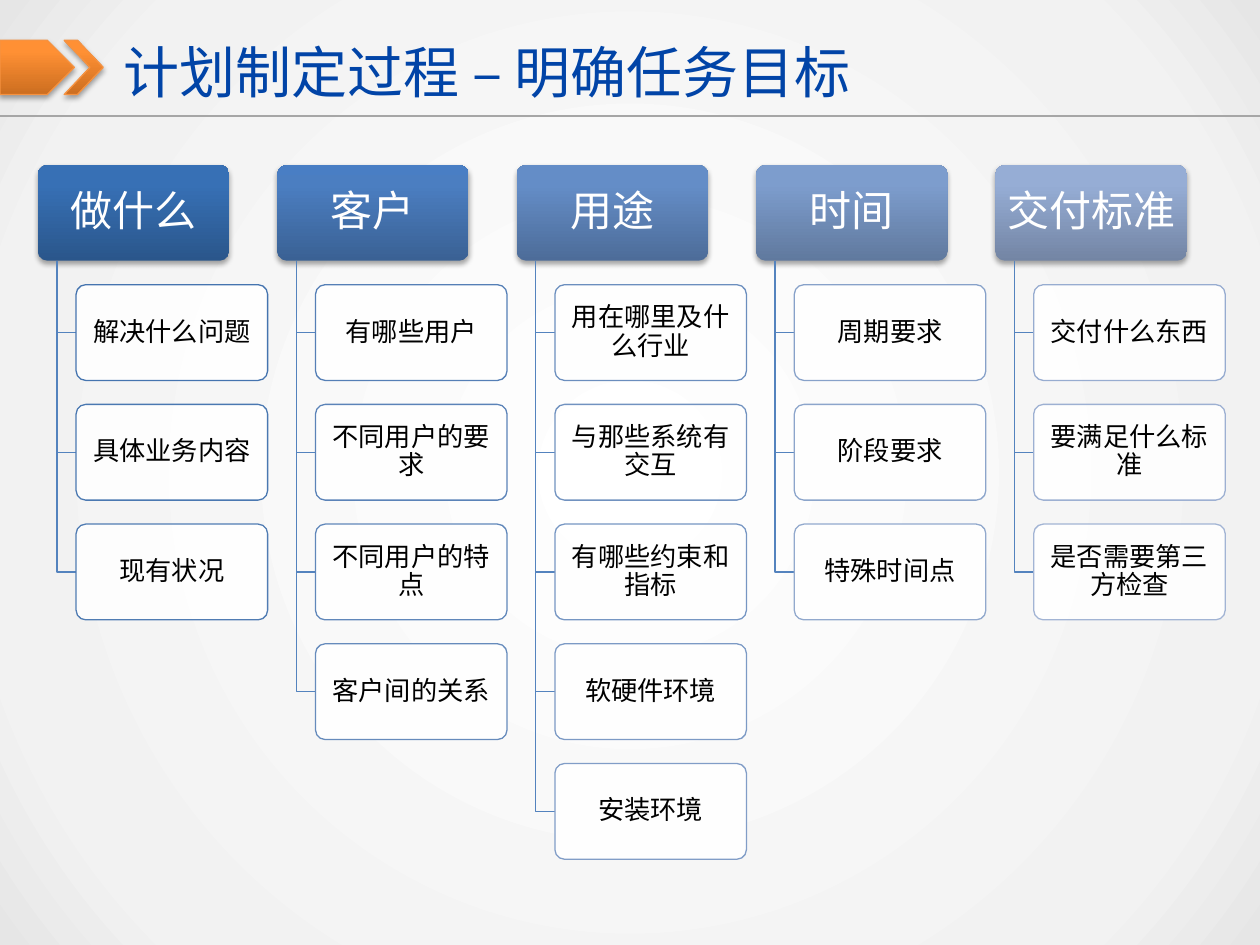
from lxml import etree
from pptx import Presentation
from pptx.dml.color import RGBColor
from pptx.enum.shapes import MSO_CONNECTOR, MSO_SHAPE
from pptx.enum.text import MSO_ANCHOR, MSO_AUTO_SIZE, PP_ALIGN
from pptx.oxml import parse_xml
from pptx.oxml.ns import nsdecls, qn
from pptx.util import Inches, Pt

ROUND = MSO_SHAPE.ROUNDED_RECTANGLE
ARROW = MSO_SHAPE.PENTAGON
CHEVRON = MSO_SHAPE.CHEVRON
STRAIGHT = MSO_CONNECTOR.STRAIGHT
MIDDLE = MSO_ANCHOR.MIDDLE
NO_FIT = MSO_AUTO_SIZE.NONE
LEFT, CENTER = PP_ALIGN.LEFT, PP_ALIGN.CENTER

FONT = "Noto Sans CJK SC"
WHITE = RGBColor(0xFF, 0xFF, 0xFF)
BLACK = RGBColor(0x00, 0x00, 0x00)
NAVY = RGBColor(0x01, 0x44, 0xA7)
ORANGE = RGBColor(0xF6, 0x92, 0x40)
GRAY = RGBColor(0xA6, 0xA6, 0xA6)
STEEL = RGBColor(0x54, 0x83, 0xBE)
FIRST = RGBColor(0x45, 0x74, 0xAF)
LAST = RGBColor(0xA2, 0xB4, 0xD4)


def shades(*codes):
    return [RGBColor.from_string(code) for code in codes]


PAPER = shades("FFFFFF", "F2F2F2", "E6E6E6")
FLAME = shades("CC6E20", "FF9034", "FF9136")

COLUMNS = [
    ("做什么", shades("2A568B", "3770B5", "3570B8"),
     ["解决什么问题", "具体业务内容", "现有状况"]),
    ("客户", shades("3A6194", "4B7EC1", "497EC4"),
     ["有哪些用户", "不同用户的要求", "不同用户的特点", "客户间的关系"]),
    ("用途", shades("4D6C99", "648DC7", "638DCA"),
     ["用在哪里及什么行业", "与那些系统有交互", "有哪些约束和指标",
      "软硬件环境", "安装环境"]),
    ("时间", shades("60799E", "7D9DCD", "7C9DD0"),
     ["周期要求", "阶段要求", "特殊时间点"]),
    ("交付标准", shades("7385A4", "96ADD5", "95ADD7"),
     ["交付什么东西", "要满足什么标准", "是否需要第三方检查"]),
]


def blend(part):
    return RGBColor(*(round(a + (b - a) * part) for a, b in zip(FIRST, LAST)))


def ramp(colors, mid, shape):
    stops = "".join(
        f'<a:gs pos="{pos * 1000}"><a:srgbClr val="{color}"/></a:gs>'
        for pos, color in zip((0, mid, 100), colors))
    return parse_xml(f'<a:gradFill {nsdecls("a")} rotWithShape="1">'
                     f'<a:gsLst>{stops}</a:gsLst>{shape}</a:gradFill>')


def shade():
    return parse_xml(
        f'<a:outerShdw {nsdecls("a")} blurRad="{Pt(3.1)}" dist="{Pt(1.8)}" '
        'dir="5400000" rotWithShape="0"><a:srgbClr val="000000">'
        '<a:alpha val="35000"/></a:srgbClr></a:outerShdw>')


def write(shape, text, size=15, color=BLACK, align=CENTER, gap=0.9,
          pads=(0.05, 0.04), glow=False):
    frame = shape.text_frame
    frame.word_wrap = True
    frame.auto_size = NO_FIT
    frame.vertical_anchor = MIDDLE
    frame.margin_left = frame.margin_right = Inches(pads[0])
    frame.margin_top = frame.margin_bottom = Inches(pads[1])
    para = frame.paragraphs[0]
    para.alignment = align
    para.line_spacing = gap
    run = para.add_run()
    run.text = text
    run.font.size = Pt(size)
    run.font.color.rgb = color
    props = run._r.get_or_add_rPr()
    if glow:
        effect = etree.Element(qn("a:effectLst"))
        effect.append(shade())
        props.insert(1, effect)
    run.font.name = FONT
    etree.SubElement(props, qn("a:ea"), typeface=FONT)


def block(slide, kind, box, fill=None, line=None):
    shape = slide.shapes.add_shape(kind, *map(Inches, box))
    shape.shadow.inherit = False
    props = shape._element.spPr
    if fill:
        props.insert(2, ramp(fill, 80, '<a:lin ang="16200000" scaled="0"/>'))
        props.find(qn("a:effectLst")).append(shade())
    else:
        shape.fill.solid()
        shape.fill.fore_color.rgb = WHITE
        tint = props.find(qn("a:solidFill"))[0]
        etree.SubElement(tint, qn("a:alpha"), val="90000")
    if line:
        shape.line.color.rgb = line
        shape.line.width = Pt(0.75)
    else:
        shape.line.fill.background()
    return shape


def branch(slide, x, top, right, y):
    form = slide.shapes.build_freeform(Inches(x), Inches(top))
    form.add_line_segments(
        [(Inches(x), Inches(y)), (Inches(right), Inches(y))], close=False)
    path = form.convert_to_shape()
    path.shadow.inherit = False
    path.fill.background()
    path.line.color.rgb = STEEL
    path.line.width = Pt(0.75)


def paint(slide):
    slide.background.fill.solid()
    back = slide._element.find(".//" + qn("p:bgPr"))
    back.replace(back[0], ramp(
        PAPER, 82, '<a:path path="circle"><a:fillToRect l="50000" t="50000" '
        'r="50000" b="50000"/></a:path>'))


def header(slide, left, top, width, height):
    title = slide.shapes.title
    title.left, title.top = Inches(left + 0.98), Inches(top + 0.21)
    title.width, title.height = Inches(width - 1.18), Inches(0.71)
    write(title, "计划制定过程 – 明确任务目标", size=32, color=NAVY,
          align=LEFT, gap=1, pads=(0, 0.05), glow=True)
    block(slide, ARROW, (left, top + 0.32, 0.59, 0.43), FLAME, ORANGE)
    mark = block(slide, CHEVRON, (left + 0.51, top + 0.32, 0.31, 0.43),
                 FLAME, ORANGE)
    mark.adjustments[0] = 0.66
    base = Inches(top + height)
    rule = slide.shapes.add_connector(
        STRAIGHT, Inches(left), base, Inches(left + width), base)
    rule.line.color.rgb = GRAY
    rule.line.width = Pt(0.75)
    etree.SubElement(rule._element.spPr, qn("a:effectLst"))


def column(slide, left, top, width, height, head, fill, items, lines):
    card = block(slide, ROUND, (left, top, width, height), fill)
    card.adjustments[0] = 0.1
    write(card, head, size=24, color=WHITE, pads=(0.07, 0.05))
    inset, step = width / 5, height * 1.25
    for row, (text, line) in enumerate(zip(items, lines), 1):
        x, y = left + inset, top + row * step
        branch(slide, left + inset / 2, top + height, x, y + height / 2)
        cell = block(slide, ROUND, (x, y, width, height), line=line)
        cell.adjustments[0] = 0.1
        write(cell, text)


def tree(slide, left, top, width, height):
    pitch = width * 1.25
    total = sum(len(items) for _, _, items in COLUMNS)
    lines = iter([blend(i / (total - 1)) for i in range(total)])
    for col, (head, fill, items) in enumerate(COLUMNS):
        tints = [next(lines) for _ in items]
        column(slide, left + col * pitch, top, width, height,
               head, fill, items, tints)


def main():
    deck = Presentation()
    deck.slide_width, deck.slide_height = Inches(10), Inches(7.5)
    slide = deck.slides.add_slide(deck.slide_layouts[5])
    paint(slide)
    header(slide, 0, 0, 10, 0.92)
    tree(slide, 0.3, 1.31, 1.52, 0.76)
    deck.save("out.pptx")


if __name__ == "__main__":
    main()
